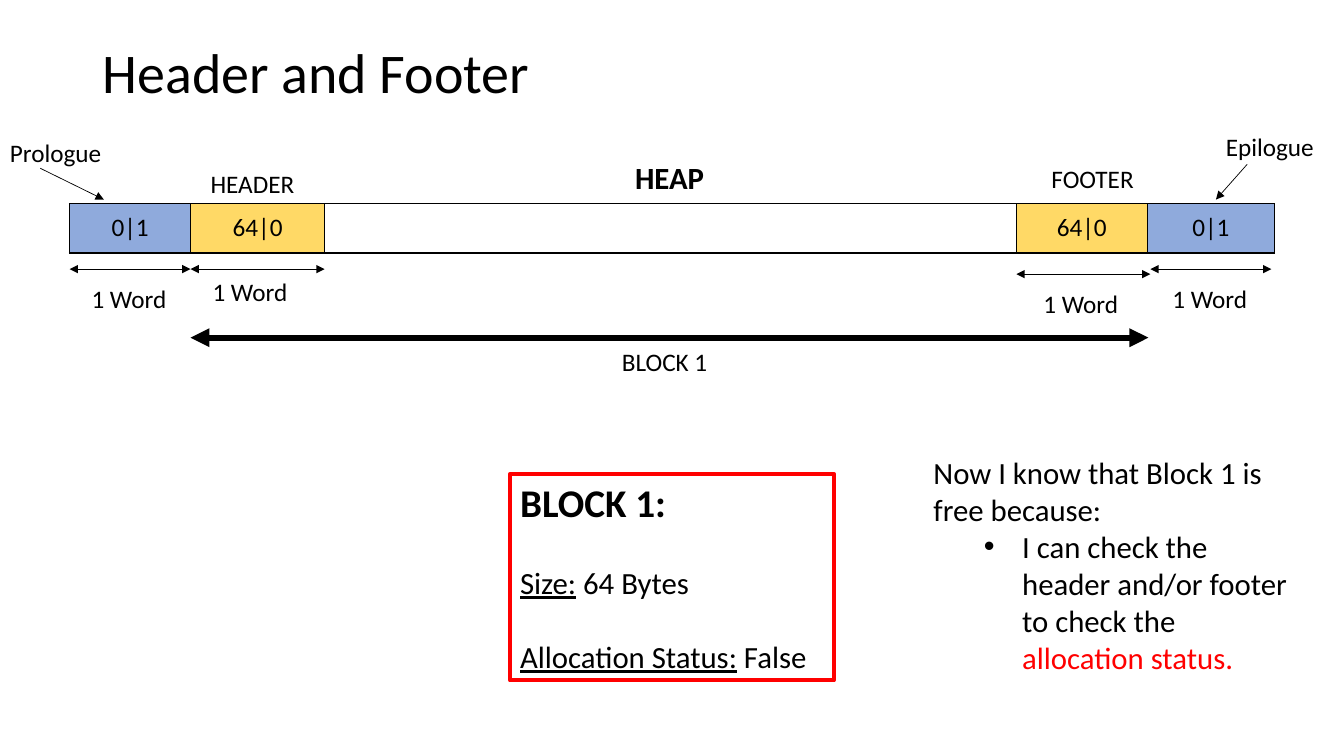
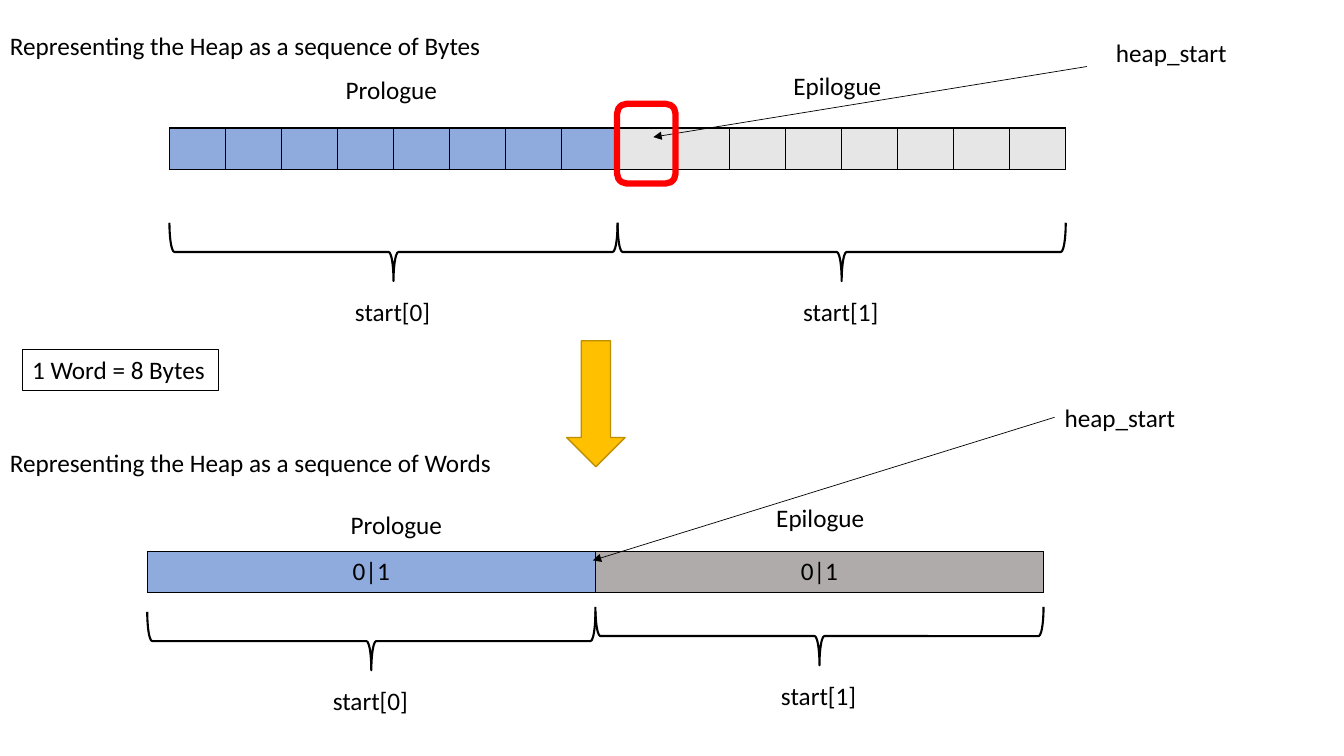
from lxml.etree import SubElement
from pptx import Presentation
from pptx.dml.color import RGBColor
from pptx.enum.shapes import MSO_CONNECTOR, MSO_SHAPE
from pptx.enum.text import MSO_ANCHOR, PP_ALIGN
from pptx.oxml.ns import qn
from pptx.util import Inches, Pt

COLORS = {
    "black": "000000", "red": "FF0000", "blue": "8FAADC", "yellow": "FFD966",
    "light": "E7E6E6", "gray": "AFABAB", "gold": "FFC000", "bronze": "BD8E00",
}
BASE = {"name": "Calibri", "size": 18, "color": "black"}
TITLE = {"size": 40}
BODY = {"size": 22}
UNDERLINED = {"size": 22, "underline": True}
WARNING = {"size": 22, "color": "red"}

# Header and Footer: content
HEAP_CELLS = [  # width, text, fill
    (1.2, "0|1", "blue"), (1.33, "64|0", "yellow"), (6.86, "", None),
    (1.3, "64|0", "yellow"), (1.26, "0|1", "blue"),
]
HEAP_LABELS = [  # left, top, width, text, format
    (6.07, 3.39, 1.14, "BLOCK 1", {}),
    (6.2, 1.53, 1.04, "HEAP", {"size": 22, "bold": True}),
    (10.33, 1.57, 1.26, "FOOTER", {}),
    (1.99, 1.62, 1.04, "HEADER", {}),
    (0, 1.31, 1.16, "Prologue", {}),
    (12.06, 1.25, 1.16, "Epilogue", {}),
]
WORD_SPANS = [  # arrow left, right, y, label left, label top
    (0.69, 1.89, 2.67, 0.81, 2.76), (1.89, 3.22, 2.67, 2.01, 2.69),
    (10.08, 11.41, 2.72, 10.25, 2.81), (11.41, 12.61, 2.67, 11.53, 2.76),
]
HEAP_POINTERS = [((0.4, 1.67), (1.03, 1.98)), ((12.37, 1.63), (12.06, 1.98))]
BLOCK_FACTS = [
    [("BLOCK 1:", {"size": 28, "bold": True})],
    [("Size:", UNDERLINED), (" 64 Bytes", BODY)],
    [("Allocation Status:", UNDERLINED), (" False", BODY)],
]
FREE_REASON = [
    [("Now I know that Block 1 is free because:", BODY)],
    [("I can check the header and/or footer to check the ", BODY),
     ("allocation status.", WARNING)],
]

# Bytes and words: content
HEAP_WIDTH = 8.89
BYTE = HEAP_WIDTH / 16
HALF = HEAP_WIDTH / 2
VIEWS = [
    {"heading": "Representing the Heap as a sequence of Bytes", "heading_top": 0.25,
     "left": 1.68, "top": 1.27,
     "cells": [(BYTE, "", "blue")] * 8 + [(BYTE, "", "light")] * 8,
     "names": [(3.33, 0.69, "Prologue"), (7.77, 0.65, "Epilogue")],
     "brace_middles": [2.5, 2.5],
     "pointer": ((10.78, 0.66), (6.48, 1.36)), "start_at": (10.97, 0.32)},
    {"heading": "Representing the Heap as a sequence of Words", "heading_top": 4.39,
     "left": 1.46, "top": 5.47,
     "cells": [(HALF, "0|1", "blue"), (HALF, "0|1", "gray")],
     "names": [(3.38, 5, "Prologue"), (7.6, 4.93, "Epilogue")],
     "brace_middles": [6.36, 6.31],
     "pointer": ((10.46, 4.14), (5.88, 5.56)), "start_at": (10.46, 3.94)},
]


def rgb(name):
    return RGBColor.from_string(COLORS[name])


def add_run(para, text, form):
    span = para.add_run()
    span.text = text
    for key, value in {**BASE, **form}.items():
        if key == "color":
            span.font.color.rgb = rgb(value)
        else:
            setattr(span.font, key, Pt(value) if key == "size" else value)


def fill_frame(frame, paragraphs, anchor=MSO_ANCHOR.TOP):
    frame.word_wrap = True
    frame.vertical_anchor = anchor
    for index, runs in enumerate(paragraphs):
        para = frame.add_paragraph() if index else frame.paragraphs[0]
        para.alignment = PP_ALIGN.LEFT
        for text, form in runs:
            add_run(para, text, form)
    return frame.paragraphs


def add_text(page, left, top, width, height, paragraphs, anchor=MSO_ANCHOR.TOP):
    box = page.shapes.add_textbox(*map(Inches, (left, top, width, height)))
    return fill_frame(box.text_frame, paragraphs, anchor)


def add_label(page, left, top, width, text, form=BASE):
    return add_text(page, left, top, width, 0.4, [[(text, form)]])


def add_box(page, preset, left, top, width, height, line, weight, fill=None):
    box = page.shapes.add_shape(preset, *map(Inches, (left, top, width, height)))
    box.shadow.inherit = False
    box.line.color.rgb = rgb(line)
    box.line.width = Pt(weight)
    if fill:
        box.fill.solid()
        box.fill.fore_color.rgb = rgb(fill)
    else:
        box.fill.background()
    return box


def add_arrow(page, start, end, weight=0.5, both=False):
    arrow = page.shapes.add_connector(
        MSO_CONNECTOR.STRAIGHT, *map(Inches, (*start, *end)))
    arrow.line.color.rgb = rgb("black")
    arrow.line.width = Pt(weight)
    outline = arrow.line._get_or_add_ln()
    for tag in ["a:headEnd"] * both + ["a:tailEnd"]:
        SubElement(outline, qn(tag), type="triangle")
    SubElement(arrow._element.spPr, qn("a:effectLst"))


def add_heap(page, left, top, height, cells):
    width = sum(cell[0] for cell in cells)
    frame = page.shapes.add_table(
        1, len(cells), *map(Inches, (left, top, width, height)))
    table = frame.table
    table.first_row = table.horz_banding = False
    for index, (width, text, fill) in enumerate(cells):
        table.columns[index].width = Inches(width)
        cell = table.cell(0, index)
        cell.vertical_anchor = MSO_ANCHOR.MIDDLE
        para = cell.text_frame.paragraphs[0]
        para.alignment = PP_ALIGN.CENTER
        if text:
            add_run(para, text, {})
        # Cell borders come before the fill
        properties = cell._tc.get_or_add_tcPr()
        for side in ("L", "R", "T", "B"):
            border = SubElement(properties, qn(f"a:ln{side}"), w=str(Pt(1)))
            solid = SubElement(border, qn("a:solidFill"))
            SubElement(solid, qn("a:srgbClr"), val=COLORS["black"])
        if fill:
            cell.fill.solid()
            cell.fill.fore_color.rgb = rgb(fill)
        else:
            cell.fill.background()


def add_brace(page, center, middle):
    depth = 0.58
    brace = add_box(page, MSO_SHAPE.RIGHT_BRACE, center - depth / 2,
                    middle - HALF / 2, depth, HALF, "black", 1.5)
    brace.rotation = 90


def build_header_footer(page):
    title = add_text(page, 0.92, 0.02, 11.97, 1.45,
                     [[("Header and Footer", TITLE)]], MSO_ANCHOR.MIDDLE)
    title[0].line_spacing = 0.9

    # Heap with its labels and arrows
    add_heap(page, 0.69, 2.02, 0.49, HEAP_CELLS)
    add_arrow(page, (1.89, 3.35), (11.39, 3.35), 4.5, both=True)
    for label in HEAP_LABELS:
        add_label(page, *label)
    for start, end in HEAP_POINTERS:
        add_arrow(page, start, end)
    for left, right, y, label_left, label_top in WORD_SPANS:
        add_arrow(page, (left, y), (right, y), both=True)
        add_label(page, label_left, label_top, 1, "1 Word")

    # Block facts
    box = add_box(page, MSO_SHAPE.RECTANGLE, 5.06, 4.7, 3.21, 2.05, "red", 3)
    for para in fill_frame(box.text_frame, BLOCK_FACTS)[1:]:
        para.space_before = Pt(26.8)

    # Explanation with one bullet
    bullet = add_text(page, 9.16, 4.45, 3.86, 2.32, FREE_REASON)[1]
    bullet.level = 1
    properties = bullet._p.get_or_add_pPr()
    properties.set("marL", str(Inches(0.88)))
    properties.set("indent", str(Inches(-0.38)))
    SubElement(properties, qn("a:buFont"), typeface="Arial")
    SubElement(properties, qn("a:buChar"), char="•")


def build_bytes_words(page):
    for view in VIEWS:
        add_label(page, 0, view["heading_top"], 5.25, view["heading"])
        add_heap(page, view["left"], view["top"], 0.41, view["cells"])
        for left, top, name in view["names"]:
            add_label(page, left, top, 1.15, name)
        for index, middle in enumerate(view["brace_middles"]):
            center = view["left"] + HALF * (index + 0.5)
            add_brace(page, center, middle)
            add_label(page, center - 0.48, middle + 0.39, 1, f"start[{index}]")
        add_arrow(page, *view["pointer"])
        add_label(page, *view["start_at"], 1.92, "heap_start")

    # Marked byte, step arrow and word size
    add_box(page, MSO_SHAPE.ROUNDED_RECTANGLE, 6.12, 1.03, 0.58, 0.79, "red", 4.5)
    add_box(page, MSO_SHAPE.DOWN_ARROW, 5.62, 3.38, 0.58, 1.25, "bronze", 1, "gold")
    note = add_box(page, MSO_SHAPE.RECTANGLE, 0.22, 3.47, 1.95, 0.4, "black", 0.75)
    fill_frame(note.text_frame, [[("1 Word = 8 Bytes", {})]])


def main():
    deck = Presentation()
    deck.slide_width, deck.slide_height = Inches(13.33), Inches(7.5)
    for build in (build_header_footer, build_bytes_words):
        build(deck.slides.add_slide(deck.slide_layouts[6]))
    deck.save("out.pptx")


if __name__ == "__main__":
    main()
